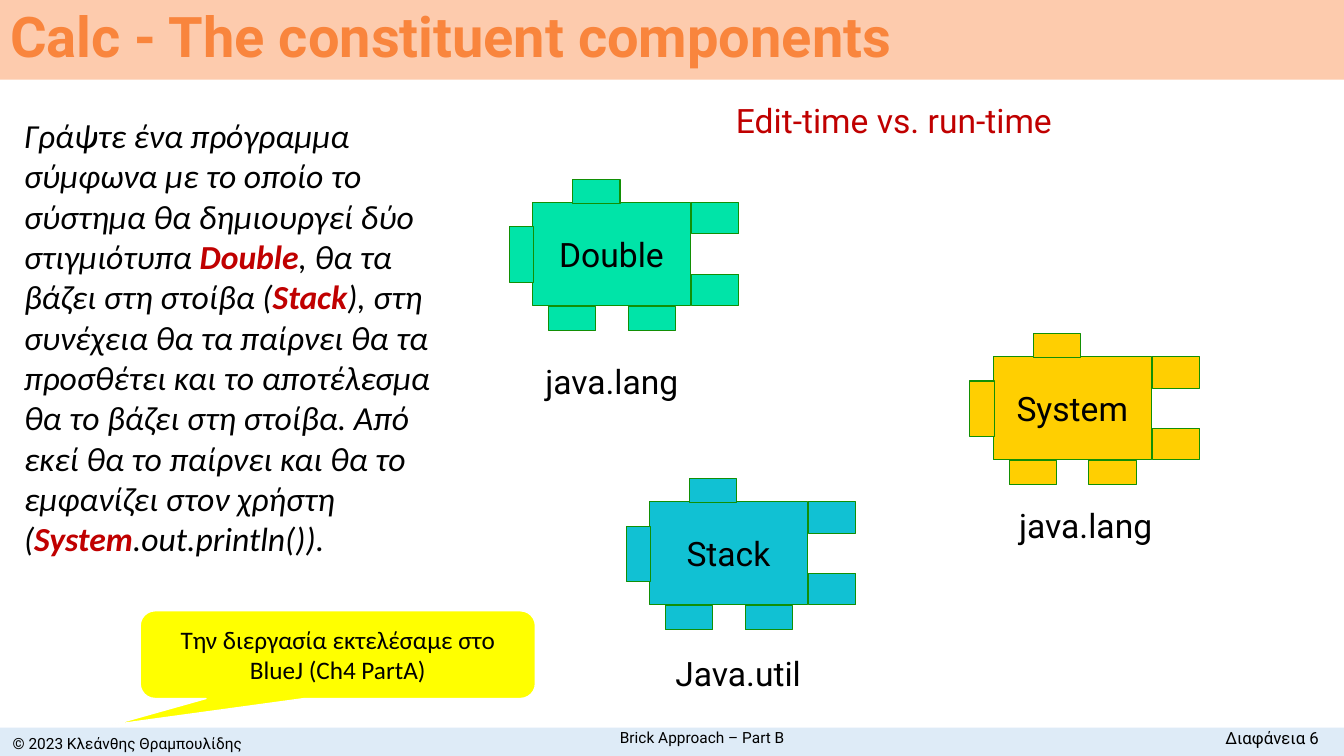
from pptx import Presentation
from pptx.dml.color import RGBColor
from pptx.enum.shapes import MSO_SHAPE
from pptx.enum.text import MSO_ANCHOR, MSO_AUTO_SIZE, PP_ALIGN
from pptx.util import Emu, Pt

COLORS = {
    "black": "000000", "white": "FFFFFF", "red": "C00000",
    "orange": "F9853D", "peach": "FDCBAD", "pale": "DEEBF7",
    "yellow": "FFFF00", "edge": "128F05",
    "green": "00E4A8", "cyan": "11C1D3", "gold": "FFCF01",
}
ALIGN = {"left": PP_ALIGN.LEFT, "center": PP_ALIGN.CENTER, "right": PP_ALIGN.RIGHT}
STUDS = [
    (158, 71, 47, 31), (158, 0, 47, 31),
    (16, 103, 47, 24), (95, 103, 47, 24),
    (40, -23, 47, 24), (-23, 24, 24, 55),
]


class Deck:
    scale = 9144
    font = "Roboto"

    def __init__(self):
        self.show = Presentation()
        self.show.slide_width = self.px(1333)
        self.show.slide_height = self.px(750)
        self.slide = self.show.slides.add_slide(self.show.slide_layouts[5])

    def px(self, size):
        return Emu(size * self.scale)

    def box(self, *sizes):
        return [self.px(size) for size in sizes]

    def color(self, name):
        return RGBColor.from_string(COLORS[name])

    def paint(self, shape, fill):
        shape.fill.solid()
        shape.fill.fore_color.rgb = self.color(fill)

    def words(self, shape, runs, size, align="left", middle=True, wrap=True,
              font=None, italic=False):
        frame = shape.text_frame
        frame.word_wrap = wrap
        frame.vertical_anchor = MSO_ANCHOR.MIDDLE if middle else MSO_ANCHOR.TOP
        line = frame.paragraphs[0]
        line.alignment = ALIGN[align]
        for text, color, bold in runs:
            run = line.add_run()
            run.text = text
            run.font.name = font or self.font
            run.font.size = Pt(size)
            run.font.bold = bold
            run.font.italic = italic
            run.font.color.rgb = self.color(color)
        return line

    def title(self, text, place):
        shape = self.slide.shapes.title
        shape.left, shape.top, shape.width, shape.height = self.box(*place)
        self.paint(shape, "peach")
        line = self.words(shape, [(text, "orange", True)], 40)
        line.line_spacing = 0.9
        shape.text_frame.auto_size = MSO_AUTO_SIZE.NONE

    def shape(self, place, fill, edge=None, width=0.75, kind=MSO_SHAPE.RECTANGLE,
              group=None):
        parent = group or self.slide
        shape = parent.shapes.add_shape(kind, *self.box(*place))
        shape.shadow.inherit = False
        self.paint(shape, fill)
        if edge:
            shape.line.color.rgb = self.color(edge)
            shape.line.width = Pt(width)
        else:
            shape.line.fill.background()
        return shape

    def text(self, place, runs, size, grow=False, **style):
        shape = self.slide.shapes.add_textbox(*self.box(*place))
        self.words(shape, runs, size, **style)
        if grow:
            shape.text_frame.auto_size = MSO_AUTO_SIZE.SHAPE_TO_FIT_TEXT

    def brick(self, name, left, top, fill):
        group = self.slide.shapes.add_group_shape()
        body = self.shape((left, top, 157, 102), fill, "edge", group=group)
        self.words(body, [(name, "black", False)], 24, "center", wrap=False)
        for x, y, wide, high in STUDS:
            self.shape((left + x, top + y, wide, high), fill, "edge", group=group)

    def label(self, text, place, color="black", wrap=False):
        self.text(place, [(text, color, False)], 24, grow=True, middle=False, wrap=wrap)

    def callout(self, text, place, adjust):
        shape = self.shape(place, "yellow", "white", 1,
                           MSO_SHAPE.ROUNDED_RECTANGULAR_CALLOUT)
        for index, value in enumerate(adjust):
            shape.adjustments[index] = value
        self.words(shape, [(text, "black", False)], 18, "center", font="Calibri")


def main():
    deck = Deck()
    deck.shape((0, 722, 1333, 30), "pale")
    deck.title("Calc - The constituent components", (0, 0, 1333, 79))
    deck.text((0, 722, 253, 30), [("© 2023 Κλεάνθης Θραμπουλίδης", "black", False)],
              11, align="center")
    deck.text((1112, 717, 206, 30), [("Διαφάνεια 6", "black", False)],
              12, grow=True, align="right", middle=False)
    deck.text((362, 717, 669, 30), [("Brick Approach – Part B", "black", False)],
              11, align="center")

    deck.brick("Double", 528, 201, "green")
    deck.brick("Stack", 644, 498, "cyan")
    deck.brick("System", 985, 354, "gold")

    deck.label("Edit-time vs. run-time", (720, 94, 341, 51), "red")
    deck.label("java.lang", (531, 353, 154, 50))
    deck.label("java.lang", (1001, 496, 154, 50))
    deck.label("Java.util", (660, 643, 283, 50), wrap=True)

    task = [
        ("Γράψτε ένα πρόγραμμα σύμφωνα με το οποίο το σύστημα θα δημιουργεί "
         "δύο στιγμιότυπα ", "black", False),
        ("Double", "red", True),
        (", θα τα βάζει στη στοίβα (", "black", False),
        ("Stack", "red", True),
        ("), στη συνέχεια θα τα παίρνει θα τα προσθέτει και το αποτέλεσμα θα το "
         "βάζει στη στοίβα. Από εκεί θα το παίρνει και θα το εμφανίζει στον "
         "χρήστη (", "black", False),
        ("System", "red", True),
        (".out.println()).", "black", False),
    ]
    deck.text((14, 109, 457, 495), task, 24, grow=True, middle=False,
              font="Calibri", italic=True)
    deck.callout("Την διεργασία εκτελέσαμε στο BlueJ (Ch4 PartA)",
                 (139, 606, 392, 87), (-0.57, 0.8, 0.17))
    deck.show.save("out.pptx")


if __name__ == "__main__":
    main()
